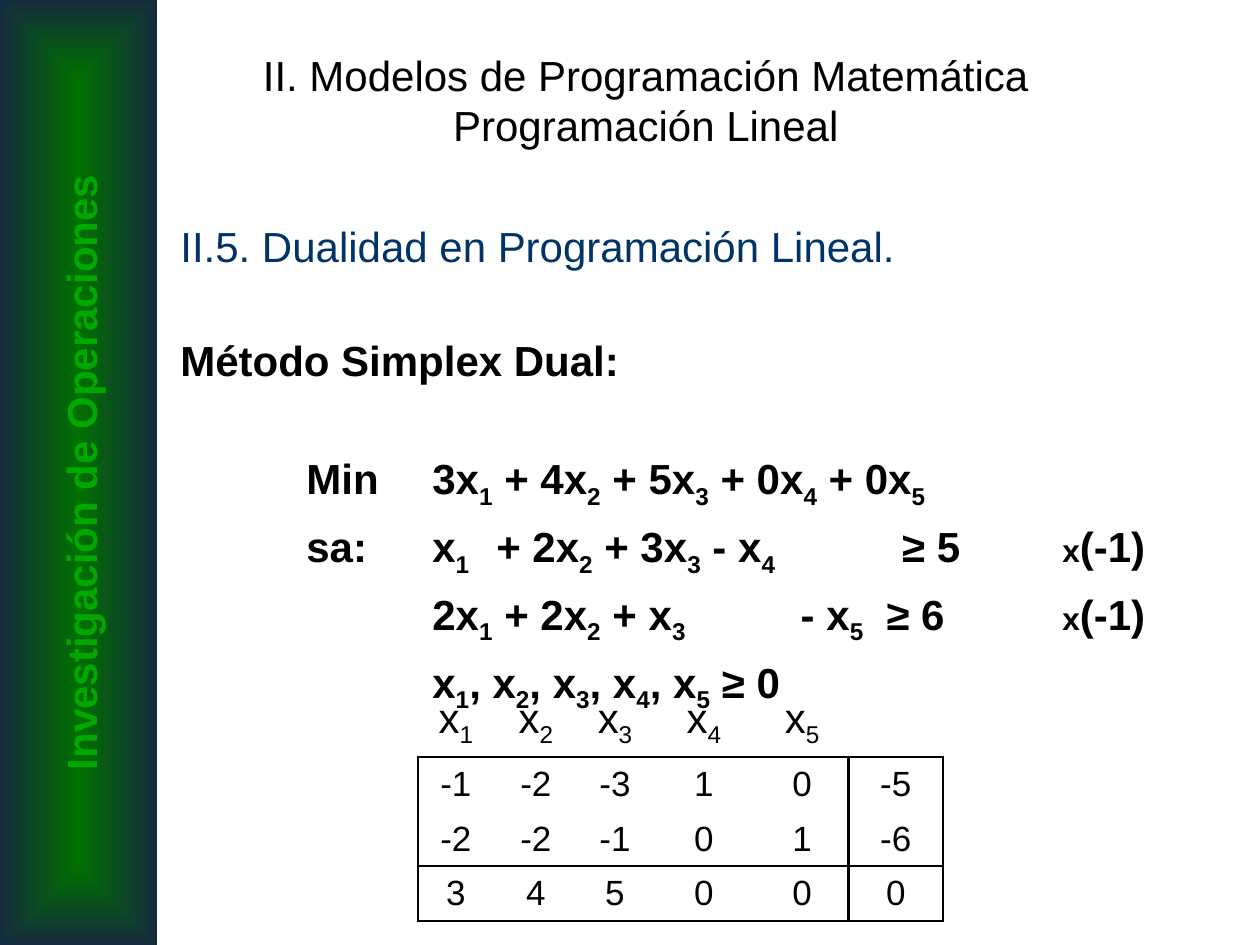
from dataclasses import dataclass

from lxml import etree
from pptx import Presentation
from pptx.dml.color import RGBColor
from pptx.enum import shapes, text
from pptx.oxml import ns, parse_xml
from pptx.util import Pt


@dataclass(frozen=True)
class Theme:
    font: str = "Arial"
    black: str = "000000"
    navy: str = "003366"
    green: str = "00A800"
    bar_center: str = "007000"
    bar_edge: str = "152A3F"
    body: int = 24
    cell: int = 20
    factor: int = 18
    rule: float = 1.5


T = Theme()
NO_STYLE = "{2D5ABB26-0587-4C30-8999-92F81FD0307C}"
LEFT, CENTER = text.PP_ALIGN.LEFT, text.PP_ALIGN.CENTER

# Constraint lines: text, space before, tab stops; "_" lowers the next digit
MODEL = [
    ("\tMin\t3x_1 + 4x_2 + 5x_3 + 0x_4 + 0x_5", 39, (72, 144), False),
    ("\tsa:\tx_1\t+ 2x_2 + 3x_3 - x_4\t≥ 5\t", 6,
     (72, 144, 180.5, 412.5, 504), True),
    ("\t2x_1 + 2x_2 + x_3\t- x_5\t≥ 6\t", 6, (144, 354.5, 403.5, 504), True),
    ("\tx_1, x_2, x_3, x_4, x_5 ≥ 0", 6, (144,), False),
]
TABLEAU = [
    ["x_1", "x_2", "x_3", "x_4", "x_5", ""],
    ["-1", "-2", "-3", "1", "0", "-5"],
    ["-2", "-2", "-1", "0", "1", "-6"],
    ["3", "4", "5", "0", "0", "0"],
]
COLUMNS = [43, 48.5, 42, 59.5, 53, 54]
ROWS = [40, 31.2, 31.2, 31.2]


def add_run(p, content, size=T.body, color=T.black, bold=False, sub=False):
    r = p.add_run()
    r.text = content
    f = r.font
    f.name, f.size, f.bold = T.font, Pt(size), bold
    f.color.rgb = RGBColor.from_string(color)
    if sub:
        r._r.get_or_add_rPr().set("baseline", "-25000")


def add_formula(p, formula, **style):
    first, *rest = formula.split("_")
    if first:
        add_run(p, first, **style)
    for part in rest:
        add_run(p, part[0], sub=True, **style)
        if part[1:]:
            add_run(p, part[1:], **style)


def set_tabs(p, stops):
    tabs = etree.SubElement(p._p.get_or_add_pPr(), ns.qn("a:tabLst"))
    for stop in stops:
        etree.SubElement(tabs, ns.qn("a:tab"), pos=str(int(Pt(stop))), algn="l")


def add_textbox(s, left, top, width, height):
    sp = s.shapes.add_textbox(Pt(left), Pt(top), Pt(width), Pt(height))
    sp.text_frame.word_wrap = True
    return sp


def add_sidebar(s):
    sp = s.shapes.add_shape(shapes.MSO_SHAPE.RECTANGLE, 0, 0, Pt(90), Pt(540))
    sp.shadow.inherit = False
    sp.line.fill.background()
    sp.fill.background()
    no_fill = sp._element.spPr.find(ns.qn("a:noFill"))
    gradient = parse_xml(
        f'<a:gradFill {ns.nsdecls("a")} rotWithShape="1"><a:gsLst>'
        f'<a:gs pos="0"><a:srgbClr val="{T.bar_center}"/></a:gs>'
        f'<a:gs pos="100000"><a:srgbClr val="{T.bar_edge}"/></a:gs></a:gsLst>'
        '<a:path path="rect"><a:fillToRect l="50000" t="50000" r="50000" '
        'b="50000"/></a:path></a:gradFill>')
    no_fill.getparent().replace(no_fill, gradient)

    label = add_textbox(s, -224, 252, 540, 36)
    label.rotation = 270
    p = label.text_frame.paragraphs[0]
    p.alignment = CENTER
    add_run(p, "Investigación de Operaciones", color=T.green, bold=True)


def add_title(s):
    sp = s.shapes.title
    sp.left, sp.top, sp.width, sp.height = Pt(96), Pt(12), Pt(546), Pt(90)
    tf = sp.text_frame
    tf.auto_size = text.MSO_AUTO_SIZE.NONE
    tf.vertical_anchor = text.MSO_ANCHOR.MIDDLE
    p = tf.paragraphs[0]
    p.alignment = CENTER
    add_run(p, "II. Modelos de Programación Matemática")
    p.add_line_break()
    add_run(p, "Programación Lineal")


def add_body(s):
    tf = add_textbox(s, 96, 122.5, 570, 394).text_frame
    p = tf.paragraphs[0]
    p.alignment = LEFT
    add_run(p, "II.5. Dualidad en Programación Lineal.", color=T.navy)

    p = tf.add_paragraph()
    p.alignment, p.space_before = LEFT, Pt(36)
    add_run(p, "Método Simplex Dual:", bold=True)

    for formula, before, stops, has_factor in MODEL:
        p = tf.add_paragraph()
        p.alignment, p.space_before = LEFT, Pt(before)
        set_tabs(p, stops)
        add_formula(p, formula, bold=True)
        if has_factor:
            add_run(p, "x", size=T.factor, bold=True)
            add_run(p, "(-1)", bold=True)


def set_borders(cell, sides):
    tcPr = cell._tc.get_or_add_tcPr()
    for side in "LRTB":
        ln = etree.SubElement(tcPr, ns.qn(f"a:ln{side}"), w=str(int(Pt(T.rule))))
        if side in sides:
            fill = etree.SubElement(ln, ns.qn("a:solidFill"))
            etree.SubElement(fill, ns.qn("a:srgbClr"), val=T.black)
        else:
            etree.SubElement(ln, ns.qn("a:noFill"))


def cell_sides(row, col):
    """Frame the tableau, its right-hand side and its cost row."""
    if row == 0:
        return "B"
    sides = {0: "L", 4: "R", 5: "LR"}.get(col, "")
    return sides + {1: "T", 2: "B", 3: "TB"}[row]


def add_tableau(s):
    table = s.shapes.add_table(len(ROWS), len(COLUMNS), Pt(239), Pt(392.5),
                               Pt(sum(COLUMNS)), Pt(sum(ROWS))).table
    table.first_row = table.horz_banding = False
    table._tbl.tblPr.find(ns.qn("a:tableStyleId")).text = NO_STYLE
    for column, width in zip(table.columns, COLUMNS):
        column.width = Pt(width)
    for i, (height, values) in enumerate(zip(ROWS, TABLEAU)):
        table.rows[i].height = Pt(height)
        for j, value in enumerate(values):
            cell = table.cell(i, j)
            cell.vertical_anchor = text.MSO_ANCHOR.MIDDLE
            set_borders(cell, cell_sides(i, j))
            cell.fill.background()
            p = cell.text_frame.paragraphs[0]
            p.alignment = CENTER
            add_formula(p, value, size=T.cell if i else T.body)


def main():
    prs = Presentation()
    prs.slide_width, prs.slide_height = Pt(720), Pt(540)
    s = prs.slides.add_slide(prs.slide_layouts[5])
    add_sidebar(s)
    add_title(s)
    add_body(s)
    add_tableau(s)
    prs.save("out.pptx")


if __name__ == "__main__":
    main()
